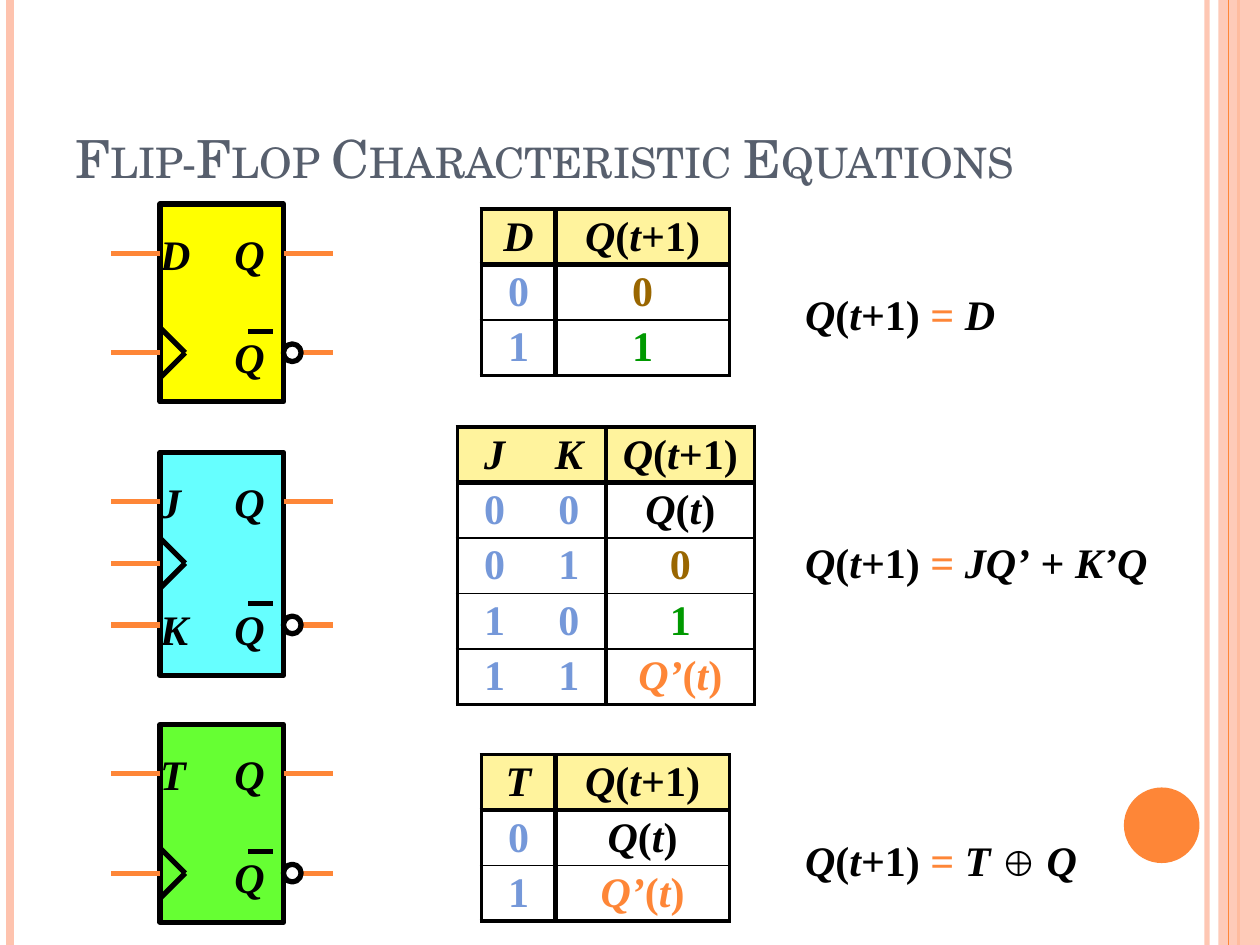
import itertools
from dataclasses import dataclass

import pptx
import pptx.dml.color
import pptx.enum.shapes
import pptx.enum.text
import pptx.oxml
import pptx.util
from lxml import etree

Inches, Pt = pptx.util.Inches, pptx.util.Pt
Shape = pptx.enum.shapes.MSO_SHAPE
Align = pptx.enum.text.PP_ALIGN
Anchor = pptx.enum.text.MSO_ANCHOR
NS = "http://schemas.openxmlformats.org/drawingml/2006/main"


@dataclass(frozen=True)
class Theme:
    ink: str = "000000"
    paper: str = "FFFFFF"
    accent: str = "FE8637"
    pale: str = "FEC3AE"
    title: str = "575F6D"
    head: str = "FFF39D"
    input: str = "7598D9"
    zero: str = "996600"
    one: str = "009900"
    serif: str = "Times New Roman"
    display: str = "TeX Gyre Schola"
    title_size: float = 30
    size: float = 24
    sign_size: float = 20


T = Theme()


def rgb(code):
    return pptx.dml.color.RGBColor.from_string(code)


def fade(fill, share):
    """Make a solid fill or line partly transparent."""
    color = fill._xPr.find(f"{{{NS}}}solidFill")[0]
    etree.SubElement(color, f"{{{NS}}}alpha", val=str(share * 1000))


def line(shapes, x1, y1, x2, y2, color, width=3):
    link = shapes.add_connector(
        pptx.enum.shapes.MSO_CONNECTOR.STRAIGHT,
        Inches(x1), Inches(y1), Inches(x2), Inches(y2))
    link.line.color.rgb = rgb(color)
    link.line.width = Pt(width)
    etree.SubElement(link._element.spPr, f"{{{NS}}}effectLst")
    return link


def shape(shapes, kind, x, y, w, h, fill, edge=None):
    item = shapes.add_shape(kind, Inches(x), Inches(y), Inches(w), Inches(h))
    item.shadow.inherit = False
    item.fill.solid()
    item.fill.fore_color.rgb = rgb(fill)
    if edge:
        item.line.color.rgb = rgb(edge)
        item.line.width = Pt(3)
    else:
        item.line.fill.background()
    return item


def style(para, color, size=T.size, face=T.serif, bold=True):
    font = para.font
    font.name, font.size, font.bold = face, Pt(size), bold
    font.color.rgb = rgb(color)
    return font


def formula(para, text, color=T.ink):
    """Write math: letters slant, signs stand upright, = is coloured."""
    style(para, color)

    def kind(char):
        return "var" if char.isalpha() or char == "’" else char if char in "=⊕" else "sign"

    for name, chars in itertools.groupby(text, kind):
        run = para.add_run()
        run.text = "".join(chars)
        run.font.italic = name == "var"
        if name == "=":
            run.font.color.rgb = rgb(T.accent)
        elif name == "⊕":
            run.font.size = Pt(T.sign_size)


def label(shapes, x, y, w, h, text, spacing=None):
    box = shapes.add_textbox(Inches(x), Inches(y), Inches(w), Inches(h))
    frame = box.text_frame
    frame.margin_left = frame.margin_right = frame.margin_top = frame.margin_bottom = 0
    frame.word_wrap = True
    para = frame.paragraphs[0]
    if spacing:
        para.line_spacing = spacing
    formula(para, text)


# Side stripes and the round badge
def frame(slide):
    shapes = slide.shapes
    fade(line(shapes, 9.58, 0, 9.58, 7.5, T.pale).line.fill, 93)
    line(shapes, 0.08, 0, 0.08, 7.5, T.pale, 4.5)
    line(shapes, 9.83, 0, 9.83, 7.5, T.accent, 1.5)
    fade(shape(shapes, Shape.RECTANGLE, 9.67, 0, 0.33, 7.5, T.pale).fill, 87)
    line(shapes, 9.75, 0, 9.75, 7.5, T.accent, 0.75)
    shape(shapes, Shape.OVAL, 8.92, 6.25, 0.6, 0.6, T.accent)


def heading(slide, x, y, w, h, text):
    title = slide.shapes.title
    title.left, title.top, title.width, title.height = map(Inches, (x, y, w, h))
    title.text_frame.text = text
    title.text_frame.vertical_anchor = Anchor.BOTTOM
    para = title.text_frame.paragraphs[0]
    para.alignment = Align.LEFT
    style(para, T.title, T.title_size, T.display, False)._rPr.set("cap", "small")


# Flip-flop symbol: pins maps each input name to its height in the box
def symbol(slide, x, y, h, fill, pins, clock, low):
    shapes = slide.shapes.add_group_shape().shapes
    w, pin, tip, high = 0.98, 0.39, 0.2, 0.39
    right = x + w
    shape(shapes, Shape.RECTANGLE, x, y, w, h, fill, T.ink)
    for side in (-tip, tip):
        line(shapes, x, y + clock + side, x + tip, y + clock, T.ink)
    for at in [*pins.values(), clock]:
        line(shapes, x, y + at, x - pin, y + at, T.accent)
    for at in (high, low):
        line(shapes, right, y + at, right + pin, y + at, T.accent)
    marks = [(x, name, at) for name, at in pins.items()]
    marks += [(right - pin, "Q", high), (right - pin, "Q", low)]
    for left, name, at in marks:
        drop = 0.2 if at == high else 0.17
        label(shapes, left, y + at - drop, pin, 0.4, name)
    shape(shapes, Shape.OVAL, right, y + low - 0.07, 0.14, 0.14, T.paper, T.ink)
    line(shapes, right - 0.28, y + low - 0.17, right - 0.08, y + low - 0.17, T.ink)


def border(cell, widths):
    props = cell._tc.get_or_add_tcPr()
    for side, width in zip("LRTB", widths):
        paint = (f'<a:solidFill><a:srgbClr val="{T.ink}"/></a:solidFill>'
                 if width else "<a:noFill/>")
        props.append(pptx.oxml.parse_xml(
            f'<a:ln{side} xmlns:a="{NS}" w="{Pt(width)}">{paint}</a:ln{side}>'))


# Truth table: the last column holds the next state
def truth(slide, x, y, cols, rows):
    tall, outer, rule, thin = 0.44, 2.25, 3, 1
    last, end = len(cols) - 1, len(rows) - 1
    grid = slide.shapes.add_table(
        len(rows), len(cols), Inches(x), Inches(y),
        Inches(sum(cols)), Inches(tall * len(rows))).table
    grid.first_row = grid.horz_banding = False
    for col, width in zip(grid.columns, cols):
        col.width = Inches(width)
    across = [outer] + [0] * (last - 1) + [rule, outer]
    down = [outer, rule] + [thin] * (end - 1) + [outer]
    tints = {"0": T.zero, "1": T.one, "Q’(t)": T.accent}
    for r, row in enumerate(rows):
        grid.rows[r].height = Inches(tall)
        for c, text in enumerate(row):
            cell = grid.cell(r, c)
            cell.margin_left = cell.margin_right = cell.margin_top = cell.margin_bottom = 0
            cell.vertical_anchor = Anchor.MIDDLE
            border(cell, (across[c], across[c + 1], down[r], down[r + 1]))
            if r == 0:
                cell.fill.solid()
                cell.fill.fore_color.rgb = rgb(T.head)
            else:
                cell.fill.background()
            color = T.ink if r == 0 else T.input if c < last else tints.get(text, T.ink)
            para = cell.text_frame.paragraphs[0]
            para.alignment = Align.CENTER
            formula(para, text, color)


def main():
    deck = pptx.Presentation()
    deck.slide_width, deck.slide_height = Inches(10), Inches(7.5)
    slide = deck.slides.add_slide(deck.slide_layouts[5])
    frame(slide)
    heading(slide, 0.5, 0.3, 8.42, 1.25, "Flip-Flop Characteristic Equations")

    left, next_q = 1.27, "Q(t+1)"
    symbol(slide, left, 1.62, 1.57, "FFFF00", {"D": 0.39}, 1.18, 1.18)
    symbol(slide, left, 3.59, 1.77, "66FFFF", {"J": 0.39, "K": 1.37}, 0.88, 1.37)
    symbol(slide, left, 5.75, 1.57, "66FF33", {"T": 0.39}, 1.18, 1.18)

    truth(slide, 3.82, 1.66, (0.59, 1.38), [("D", next_q), "00", "11"])
    truth(slide, 3.63, 3.39, (0.59, 0.59, 1.18), [
        ("J", "K", next_q), ("0", "0", "Q(t)"), "010", "101", ("1", "1", "Q’(t)")])
    truth(slide, 3.82, 5.99, (0.59, 1.38), [
        ("T", next_q), ("0", "Q(t)"), ("1", "Q’(t)")])

    for y, w, right in ((2.21, 1.77, "D"), (4.18, 2.76, "JQ’ + K’Q"), (6.54, 2.56, "T ⊕ Q")):
        label(slide.shapes, 6.39, y, w, 0.48, f"{next_q} = {right}", 1.2)
    deck.save("out.pptx")


if __name__ == "__main__":
    main()
